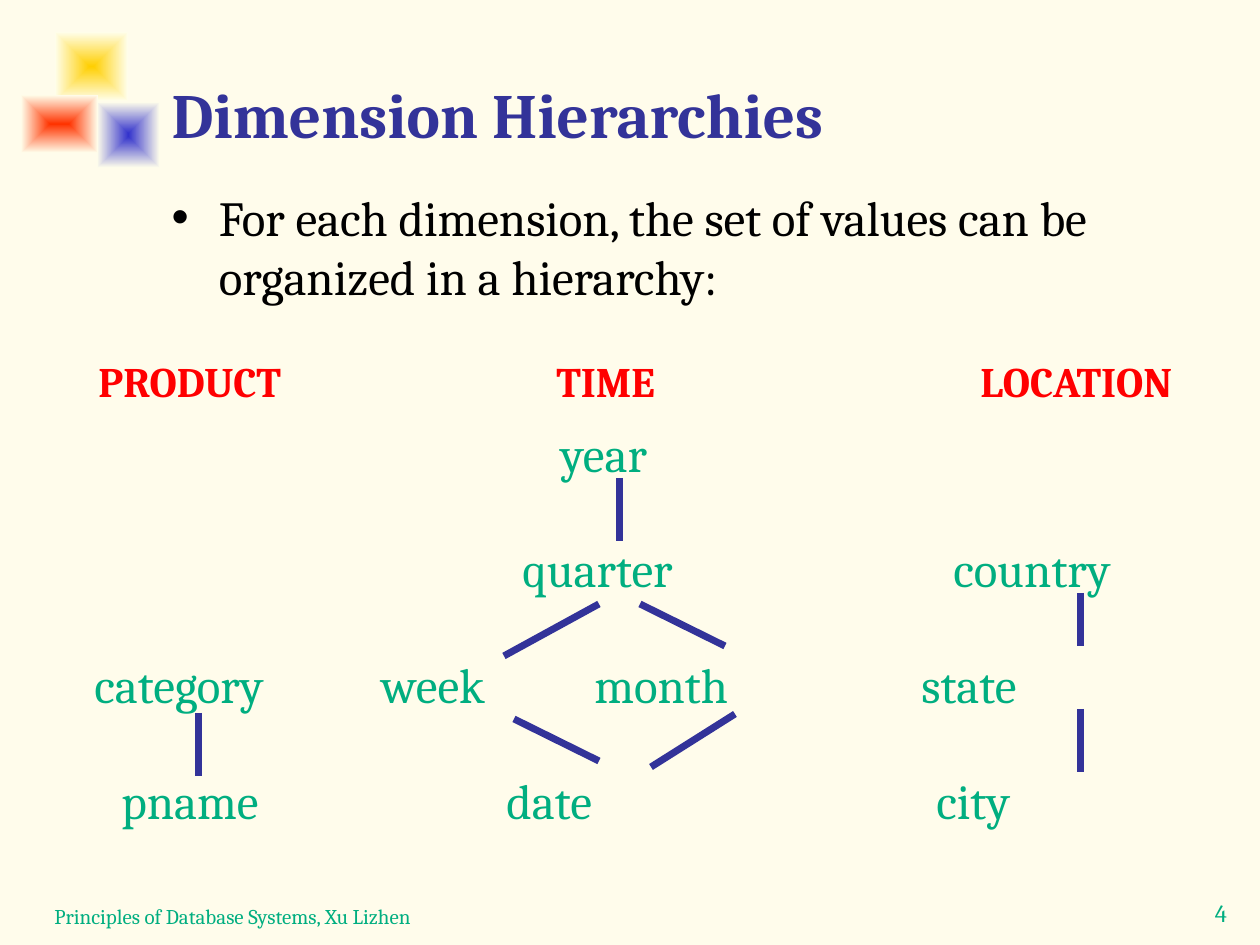
from lxml.etree import SubElement as Sub
from pptx import Presentation
from pptx.dml.color import RGBColor as RGB
from pptx.enum.shapes import MSO_CONNECTOR as Link, MSO_SHAPE as Shape
from pptx.enum.text import MSO_ANCHOR as Anchor, MSO_AUTO_SIZE as Auto, PP_ALIGN as Align
from pptx.oxml import parse_xml
from pptx.oxml.ns import nsdecls, qn
from pptx.util import Pt

PX = 914400 // 126
FONT = "Cambria"
CREAM = RGB(0xFF, 0xFC, 0xEB)
FADE = RGB(0xFF, 0xFE, 0xEB)
GOLD = RGB(0xFF, 0xCF, 0x01)
BLUE = RGB(0x33, 0x33, 0xCC)
FLAME = RGB(0xFF, 0x33, 0x00)
NAVY = RGB(0x33, 0x33, 0x99)
GREEN = RGB(0x00, 0xAE, 0x80)
RED = RGB(0xFF, 0x00, 0x00)
BLACK = RGB(0x00, 0x00, 0x00)

TITLE = "Dimension Hierarchies"
BODY = "For each dimension, the set of values can be organized in a hierarchy:"
FOOT = "Principles of Database Systems, Xu Lizhen"
PAGE = "4"
TILES = [
    (GOLD, 55, 32, 73, 69),
    (BLUE, 97, 102, 63, 66),
    (FLAME, 21, 95, 77, 58),
]
HEADS = [("PRODUCT", 86, 234), ("TIME", 544, 137), ("LOCATION", 968, 256)]
LEVELS = [
    (417, [("year", 548)]),
    (532, [("quarter", 510), ("country", 941)]),
    (648, [("category", 82), ("week", 369), ("month", 582), ("state", 909)]),
    (764, [("pname", 109), ("date", 494), ("city", 924)]),
]
LINKS = [
    (199, 713, 199, 776),
    (1081, 709, 1081, 772),
    (1081, 593, 1081, 646),
    (620, 478, 620, 541),
    (504, 656, 599, 604),
    (640, 604, 725, 646),
    (514, 719, 599, 761),
    (651, 767, 735, 714),
]


def scale(*nums):
    return [n * PX for n in nums]


def write(box, text, size, color, bold=False, align=Align.LEFT, anchor=Anchor.TOP):
    frame = box.text_frame
    frame.text = text
    frame.word_wrap = True
    frame.auto_size = Auto.NONE
    frame.vertical_anchor = anchor
    par = frame.paragraphs[0]
    par.alignment = align
    par.space_before = Pt(0)
    font = par.runs[0].font
    font.name, font.size, font.bold = FONT, Pt(size), bold
    font.color.rgb = color


def label(slide, area, *args, **opts):
    write(slide.shapes.add_textbox(*scale(*area)), *args, **opts)


def place(box, *area):
    box.left, box.top, box.width, box.height = scale(*area)


def bullet(par):
    props = par._p.get_or_add_pPr()
    props.set("marL", str(48 * PX))
    props.set("indent", str(-48 * PX))
    tint = Sub(props, qn("a:buClr"))
    Sub(tint, qn("a:srgbClr"), val=str(BLUE))
    Sub(props, qn("a:buSzPct"), val="60000")
    Sub(props, qn("a:buChar"), char="■")


def tile(slide, color, *area):
    box = slide.shapes.add_shape(Shape.RECTANGLE, *scale(*area))
    box.shadow.inherit = False
    box.line.fill.background()
    box.fill.gradient()
    old = box._element.spPr.find(qn("a:gradFill"))
    new = parse_xml(
        f'<a:gradFill {nsdecls("a")}><a:gsLst>'
        f'<a:gs pos="0"><a:srgbClr val="{color}"/></a:gs>'
        f'<a:gs pos="100000"><a:srgbClr val="{FADE}"/></a:gs></a:gsLst>'
        '<a:path path="rect"><a:fillToRect l="50000" t="50000" r="50000" b="50000"/>'
        '</a:path></a:gradFill>'
    )
    old.getparent().replace(old, new)


def link(slide, *ends):
    line = slide.shapes.add_connector(Link.STRAIGHT, *scale(*ends))
    line.line.color.rgb = NAVY
    line.line.width = Pt(4)
    Sub(line._element.spPr, qn("a:effectLst"))


def main():
    deck = Presentation()
    deck.slide_width, deck.slide_height = scale(1260, 945)
    slide = deck.slides.add_slide(deck.slide_layouts[1])
    back = slide.background.fill
    back.solid()
    back.fore_color.rgb = CREAM

    for item in TILES:
        tile(slide, *item)

    title, body = slide.placeholders
    place(title, 159, 21, 1074, 136)
    write(title, TITLE, 36, NAVY, bold=True, anchor=Anchor.BOTTOM)
    place(body, 159, 181, 1079, 142)
    body.text_frame.text = BODY
    bullet(body.text_frame.paragraphs[0])
    write(body, BODY, 28, BLACK)

    for text, left, width in HEADS:
        label(slide, (left, 349, width, 63), text, 24, RED, bold=True)
    for top, words in LEVELS:
        for text, left in words:
            label(slide, (left, top, 210, 72), text, 28, GREEN)
    for ends in LINKS:
        link(slide, *ends)

    label(slide, (42, 872, 819, 63), FOOT, 12, GREEN, anchor=Anchor.BOTTOM)
    label(slide, (1182, 892, 78, 48), PAGE, 14, GREEN, align=Align.CENTER)
    deck.save("out.pptx")


if __name__ == "__main__":
    main()
